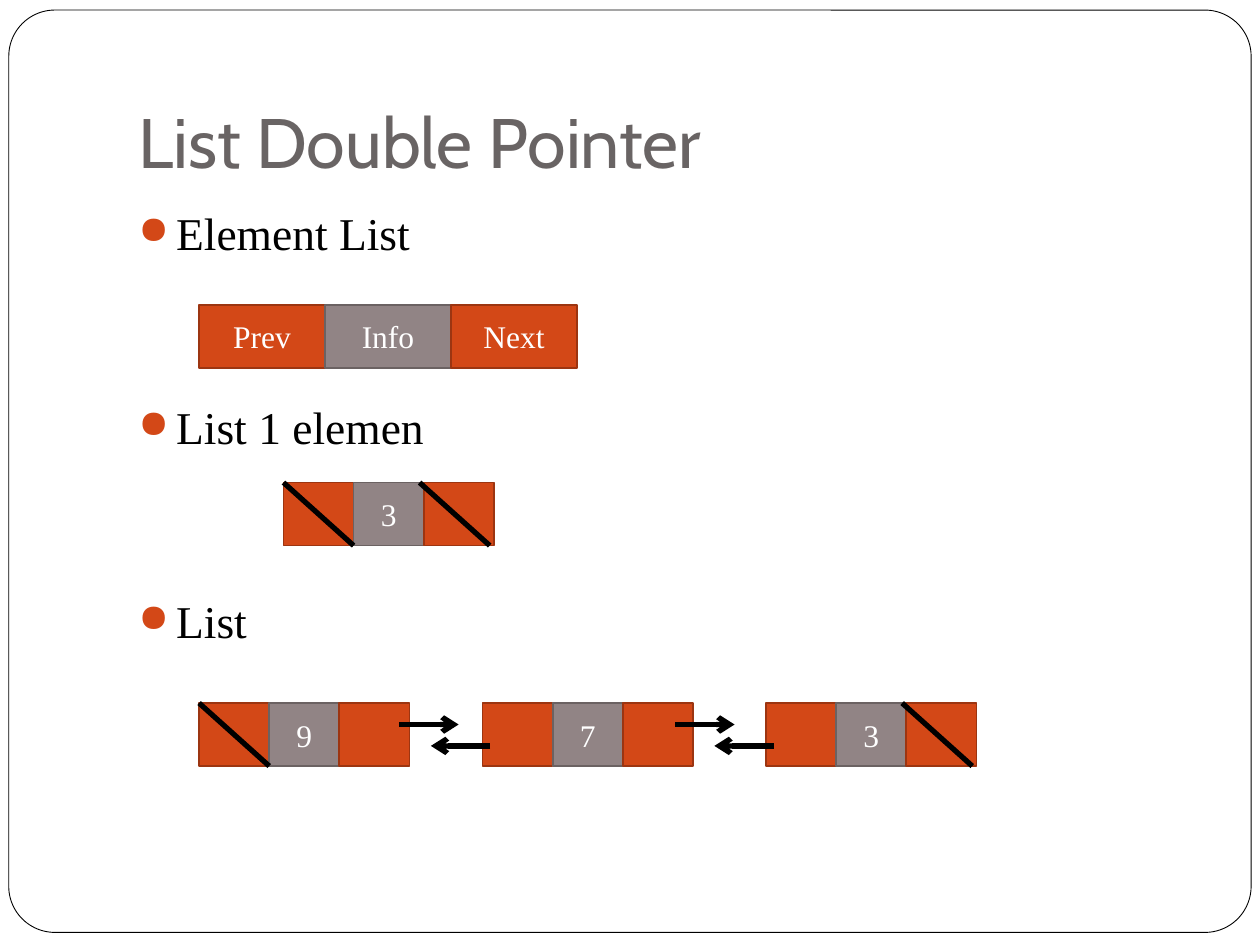
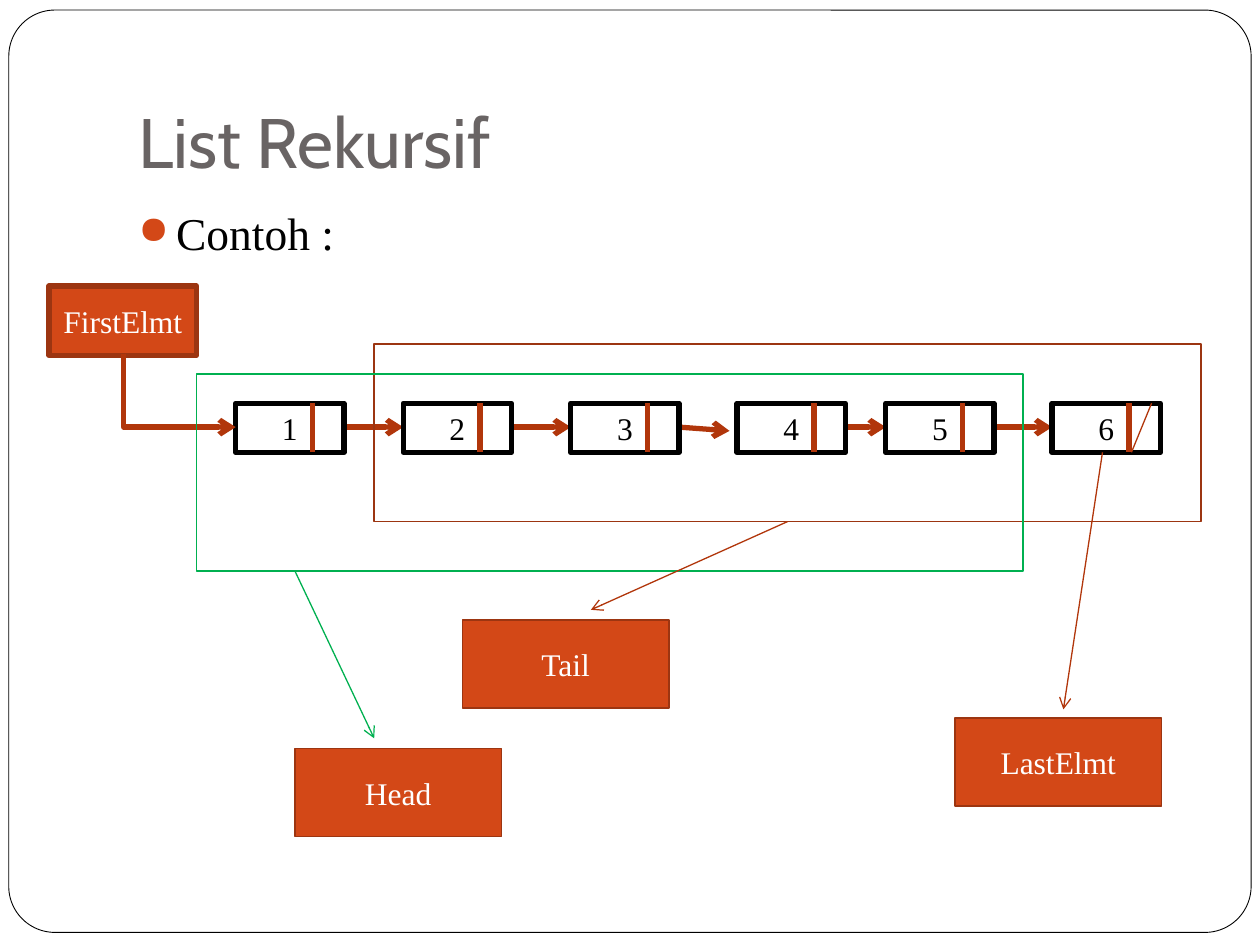
"""Build two slides on double-pointer and recursive linked lists."""
from dataclasses import dataclass
from itertools import pairwise
from typing import Optional

import pptx
import pptx.dml.color
import pptx.enum.shapes
import pptx.enum.text
import pptx.oxml
import pptx.oxml.ns
import pptx.shapes.autoshape
import pptx.shapes.connector
import pptx.slide
import pptx.text.text
import pptx.util
from pptx.util import Inches

COLORS = {
    "white": "FFFFFF",
    "black": "000000",
    "title": "696464",
    "orange": "D34817",
    "orange_edge": "9C3511",
    "gray": "918485",
    "gray_edge": "6B6262",
    "arrow": "B1360B",
    "green": "00B050",
}
TITLE_FONT = "Cabin"
BODY_FONT = "Times New Roman"
NODE_WIDTH = 1.67
NODE_HEIGHT = 0.5
CELL_TOP, CELL_WIDTH, CELL_HEIGHT = 3.2, 0.86, 0.39
LINK_Y = 3.39
DIVIDER_OFFSET = 0.61


@dataclass(frozen=True)
class Box:
    left: float
    top: float
    width: float
    height: float
    text: str = ""
    fill: Optional[str] = "orange"
    edge: str = "orange_edge"
    edge_width: float = 1
    text_color: str = "white"


@dataclass(frozen=True)
class Link:
    start: tuple[float, float]
    end: tuple[float, float]
    color: str = "black"
    width: float = 3
    arrow: bool = True


@dataclass(frozen=True)
class Node:
    left: float
    top: float
    value: str
    no_previous: bool = False
    no_next: bool = False


def rgb(name: str) -> pptx.dml.color.RGBColor:
    return pptx.dml.color.RGBColor.from_string(COLORS[name])


def add_run(paragraph: pptx.text.text._Paragraph, text: str, size: float,
            color: str, font: str = BODY_FONT) -> None:
    run = paragraph.add_run()
    run.text = text
    run.font.size = pptx.util.Pt(size)
    run.font.name = font
    run.font.color.rgb = rgb(color)


def draw_box(slide: pptx.slide.Slide, box: Box,
             kind: pptx.enum.shapes.MSO_SHAPE = pptx.enum.shapes.MSO_SHAPE.RECTANGLE,
             ) -> pptx.shapes.autoshape.Shape:
    shape = slide.shapes.add_shape(kind, Inches(box.left), Inches(box.top),
                                   Inches(box.width), Inches(box.height))
    shape.shadow.inherit = False
    if box.fill:
        shape.fill.solid()
        shape.fill.fore_color.rgb = rgb(box.fill)
    else:
        shape.fill.background()
    shape.line.color.rgb = rgb(box.edge)
    shape.line.width = pptx.util.Pt(box.edge_width)
    if box.text:
        shape.text_frame.vertical_anchor = pptx.enum.text.MSO_ANCHOR.MIDDLE
        paragraph = shape.text_frame.paragraphs[0]
        paragraph.alignment = pptx.enum.text.PP_ALIGN.CENTER
        add_run(paragraph, box.text, 18, box.text_color)
    return shape


def draw_link(slide: pptx.slide.Slide, link: Link) -> pptx.shapes.connector.Connector:
    connector = slide.shapes.add_connector(
        pptx.enum.shapes.MSO_CONNECTOR.STRAIGHT,
        *(Inches(value) for value in link.start + link.end))
    connector.line.color.rgb = rgb(link.color)
    connector.line.width = pptx.util.Pt(link.width)
    properties = connector.element.spPr
    if link.arrow:
        tail = pptx.oxml.parse_xml(
            f'<a:tailEnd {pptx.oxml.ns.nsdecls("a")} type="arrow"/>')
        properties.find(pptx.oxml.ns.qn("a:ln")).append(tail)
    properties.append(pptx.oxml.parse_xml(
        f'<a:effectLst {pptx.oxml.ns.nsdecls("a")}/>'))
    return connector


def draw_elbow(slide: pptx.slide.Slide, link: Link) -> None:
    (start_x, start_y), (end_x, end_y) = link.start, link.end
    width, height = end_y - start_y, end_x - start_x
    left = (start_x + end_x - width) / 2
    top = (start_y + end_y - height) / 2
    connector = draw_link(slide, Link((left, top), (left + width, top + height),
                                      link.color, link.width, link.arrow))
    properties = connector.element.spPr
    transform = properties.find(pptx.oxml.ns.qn("a:xfrm"))
    transform.set("rot", "16200000")
    transform.set("flipH", "1")
    properties.find(pptx.oxml.ns.qn("a:prstGeom")).set("prst", "bentConnector2")


def add_text_box(slide: pptx.slide.Slide, left: float, top: float, width: float,
                 height: float) -> pptx.text.text.TextFrame:
    frame = slide.shapes.add_textbox(Inches(left), Inches(top), Inches(width),
                                     Inches(height)).text_frame
    frame.word_wrap = True
    return frame


def add_bullet(paragraph: pptx.text.text._Paragraph) -> None:
    properties = paragraph._p.get_or_add_pPr()
    properties.set("marL", str(Inches(0.3)))
    properties.set("indent", str(Inches(-0.3)))
    namespace = pptx.oxml.ns.nsdecls("a")
    for markup in (
        f'<a:buClr {namespace}><a:srgbClr val="{COLORS["orange"]}"/></a:buClr>',
        f'<a:buSzPct {namespace} val="85000"/>',
        f'<a:buChar {namespace} char="●"/>',
    ):
        properties.append(pptx.oxml.parse_xml(markup))


def start_slide(presentation: pptx.presentation.Presentation, title: str,
                bullets: list[str]) -> pptx.slide.Slide:
    slide = presentation.slides.add_slide(presentation.slide_layouts[6])
    border = draw_box(slide, Box(0.07, 0.08, 9.86, 7.32, "", "white", "black", 0.5),
                      pptx.enum.shapes.MSO_SHAPE.ROUNDED_RECTANGLE)
    border.adjustments[0] = 0.05
    title_frame = add_text_box(slide, 1, 0.3, 8.5, 1.25)
    title_frame.vertical_anchor = pptx.enum.text.MSO_ANCHOR.BOTTOM
    title_frame.margin_bottom = Inches(0.1)
    add_run(title_frame.paragraphs[0], title, 40, "title", TITLE_FONT)
    body_frame = add_text_box(slide, 1, 1.58, 8.5, 5)
    for index, text in enumerate(bullets):
        paragraph = body_frame.add_paragraph() if index else body_frame.paragraphs[0]
        add_bullet(paragraph)
        if index:
            paragraph.space_before = pptx.util.Pt(79.5)
        add_run(paragraph, text, 26, "black")
    return slide


def draw_triple(slide: pptx.slide.Slide, left: float, top: float, width: float,
                texts: tuple[str, str, str]) -> None:
    fills = ("orange", "gray", "orange")
    for index, (text, fill) in enumerate(zip(texts, fills)):
        draw_box(slide, Box(left + index * width / 3, top, width / 3, NODE_HEIGHT,
                            text, fill, f"{fill}_edge"))


def draw_node(slide: pptx.slide.Slide, node: Node) -> None:
    draw_triple(slide, node.left, node.top, NODE_WIDTH, ("", node.value, ""))
    for is_null, offset in ((node.no_previous, 0), (node.no_next, 1.08)):
        if is_null:
            left = node.left + offset
            draw_link(slide, Link((left, node.top),
                                  (left + NODE_WIDTH / 3, node.top + NODE_HEIGHT),
                                  arrow=False))


def build_double_pointer(presentation: pptx.presentation.Presentation) -> None:
    slide = start_slide(presentation, "List Double Pointer",
                        ["Element List", "List 1 elemen", "List"])
    draw_triple(slide, 1.58, 2.42, 3, ("Prev", "Info", "Next"))
    for node in (
        Node(2.25, 3.83, "3", no_previous=True, no_next=True),
        Node(1.58, 5.58, "9", no_previous=True),
        Node(3.83, 5.58, "7"),
        Node(6.08, 5.58, "3", no_next=True),
    ):
        draw_node(slide, node)
    for start_x, end_x, y in ((3.17, 3.64, 5.75), (5.36, 5.83, 5.75),
                              (3.89, 3.42, 5.92), (6.14, 5.67, 5.92)):
        draw_link(slide, Link((start_x, y), (end_x, y)))


def build_recursive_list(presentation: pptx.presentation.Presentation) -> None:
    slide = start_slide(presentation, "List Rekursif", ["Contoh :"])
    cell_lefts = (1.87, 3.2, 4.53, 5.85, 7.03, 8.35)
    cell_bottom = CELL_TOP + CELL_HEIGHT
    for number, (left, next_left) in enumerate(pairwise(cell_lefts), start=1):
        end = (5.79, 3.42) if number == 3 else (next_left, LINK_Y)
        draw_link(slide, Link((left + CELL_WIDTH, LINK_Y), end, "arrow"))
    for number, left in enumerate(cell_lefts, start=1):
        draw_box(slide, Box(left, CELL_TOP, CELL_WIDTH, CELL_HEIGHT, str(number),
                            "white", "black", 3, "black"))
        divider = left + DIVIDER_OFFSET
        draw_link(slide, Link((divider, CELL_TOP), (divider, cell_bottom),
                              "arrow", arrow=False))
    draw_box(slide, Box(0.39, 2.27, 1.17, 0.55, "FirstElmt", edge_width=3))
    draw_elbow(slide, Link((0.98, 2.81), (cell_lefts[0], LINK_Y), "arrow"))
    draw_link(slide, Link((8.98, cell_bottom), (9.14, CELL_TOP), "arrow", 0.75, False))
    for group in (Box(2.97, 2.73, 6.56, 1.41, fill=None),
                  Box(1.56, 2.97, 6.56, 1.56, fill=None, edge="green")):
        draw_box(slide, group)
    for text, left, top, start, end, color in (
        ("Tail", 3.67, 4.92, (6.25, 4.14), (4.69, 4.84), "arrow"),
        ("Head", 2.34, 5.94, (2.34, 4.53), (2.97, 5.86), "green"),
        ("LastElmt", 7.58, 5.7, (8.75, cell_bottom), (8.44, 5.63), "arrow"),
    ):
        draw_link(slide, Link(start, end, color, 0.75))
        draw_box(slide, Box(left, top, 1.64, 0.7, text))


def main() -> None:
    presentation = pptx.Presentation()
    presentation.slide_width = Inches(10)
    presentation.slide_height = Inches(7.5)
    build_double_pointer(presentation)
    build_recursive_list(presentation)
    presentation.save("out.pptx")


if __name__ == "__main__":
    main()
